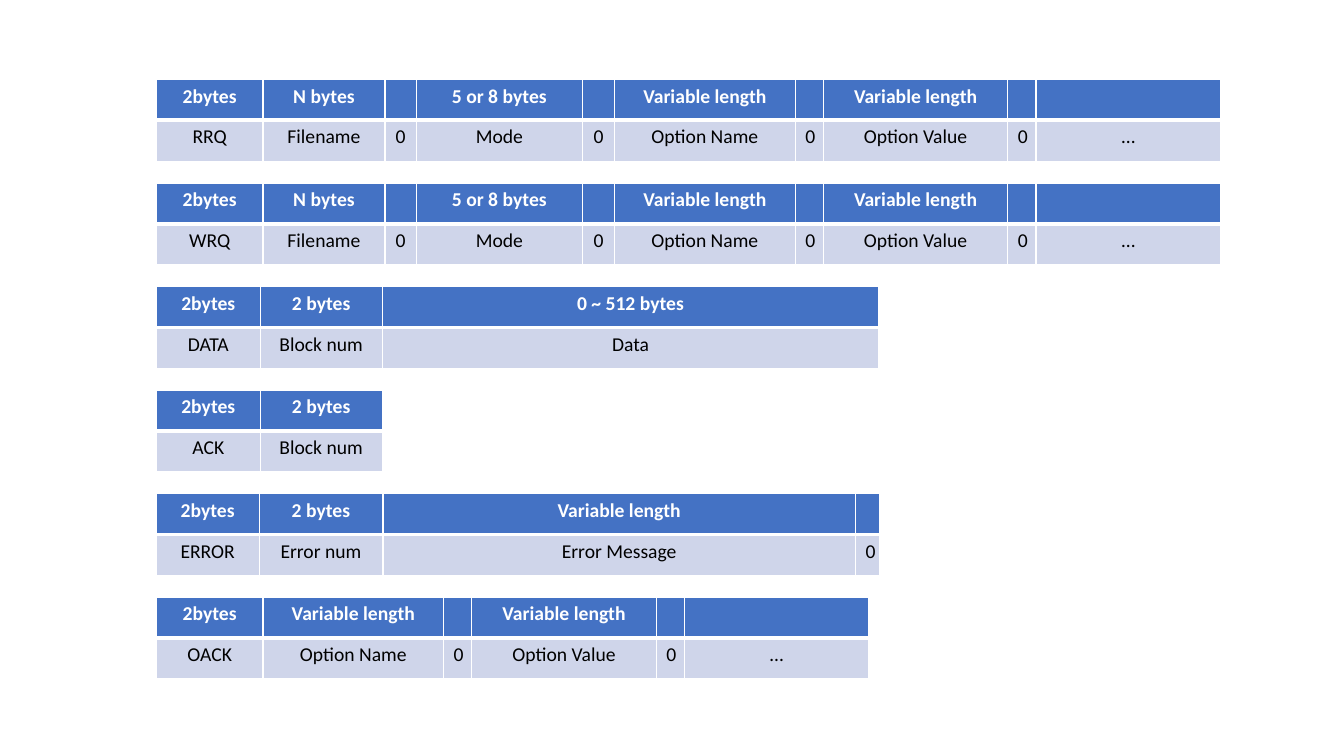
from dataclasses import dataclass

from lxml.etree import SubElement, fromstring
from pptx import Presentation
from pptx.dml.color import RGBColor
from pptx.enum.text import PP_ALIGN
from pptx.oxml.ns import nsdecls, qn
from pptx.util import Cm, Pt


@dataclass(frozen=True)
class Theme:
    font: str = "Calibri"
    size: int = 14
    header_fill: str = "4472C4"
    header_text: str = "FFFFFF"
    body_fill: str = "CFD5EA"
    body_text: str = "000000"
    border: str = "FFFFFF"
    thin: int = 1
    thick: int = 3


THEME = Theme()

# Fields: (size in the header, content in the body, width in cm)
ZERO = ("", "0", 0.71)
OPTIONS = [("Variable length", "Option Name", 4.55), ZERO,
           ("Variable length", "Option Value", 4.65), ZERO,
           ("", "…", 4.65)]
REQUEST = [("N bytes", "Filename", 3.07), ("", "0", 0.79),
           ("5 or 8 bytes", "Mode", 4.19), ("", "0", 0.81)] + OPTIONS
BLOCK = ("2 bytes", "Block num", 3.07)


def opcode(name, width):
    return ("2bytes", name, width)


PACKETS = [
    [opcode("RRQ", 2.69)] + REQUEST,
    [opcode("WRQ", 2.69)] + REQUEST,
    [opcode("DATA", 2.62), BLOCK, ("0 ~ 512 bytes", "Data", 12.52)],
    [opcode("ACK", 2.62), BLOCK],
    [opcode("ERROR", 2.59), ("2 bytes", "Error num", 3.12),
     ("Variable length", "Error Message", 11.91), ("", "0", 0.58)],
    [opcode("OACK", 2.69)] + OPTIONS,
]


def set_text(tf, text, color, bold=False, align=PP_ALIGN.CENTER):
    p = tf.paragraphs[0]
    p.alignment = align
    if text:
        r = p.add_run()
        r.text = text
        r.font.name = THEME.font
        r.font.size = Pt(THEME.size)
        r.font.bold = bold
        r.font.color.rgb = RGBColor.from_string(color)


def set_borders(cell, **widths):
    # Border lines must come before the fill, in the order L, R, T, B
    tc_pr = cell._tc.get_or_add_tcPr()
    for i, side in enumerate("LRTB"):
        width = Pt(widths.get(side, THEME.thin))
        ln = fromstring(f'<a:ln{side} {nsdecls("a")} w="{width}"/>')
        fill = SubElement(ln, qn("a:solidFill"))
        SubElement(fill, qn("a:srgbClr"), val=THEME.border)
        tc_pr.insert(i, ln)


def add_packet(s, fields, left, top, height):
    """Place one packet layout: field sizes above field contents."""
    width = sum(field[2] for field in fields)
    frame = s.shapes.add_table(2, len(fields), Cm(left), Cm(top),
                               Cm(width), Cm(height))
    table = frame.table
    table.horz_banding = False
    # Fill, text colour, bold and thick side of each row
    styles = [(THEME.header_fill, THEME.header_text, True, "B"),
              (THEME.body_fill, THEME.body_text, False, "T")]
    for col, (*texts, col_width) in enumerate(fields):
        table.columns[col].width = Cm(col_width)
        for row, (text, style) in enumerate(zip(texts, styles)):
            fill, color, bold, thick_side = style
            cell = table.cell(row, col)
            cell.fill.solid()
            cell.fill.fore_color.rgb = RGBColor.from_string(fill)
            set_borders(cell, **{thick_side: THEME.thick})
            set_text(cell.text_frame, text, color, bold=bold)


def add_packets(s, left, top, pitch, height):
    """Stack all packet layouts at an equal pitch."""
    for i, fields in enumerate(PACKETS):
        add_packet(s, fields, left, top + i * pitch, height)


prs = Presentation()
prs.slide_width, prs.slide_height = Cm(33.87), Cm(19.05)
s = prs.slides.add_slide(prs.slide_layouts[6])
add_packets(s, left=3.94, top=2, pitch=2.61, height=2.06)
prs.save("out.pptx")
